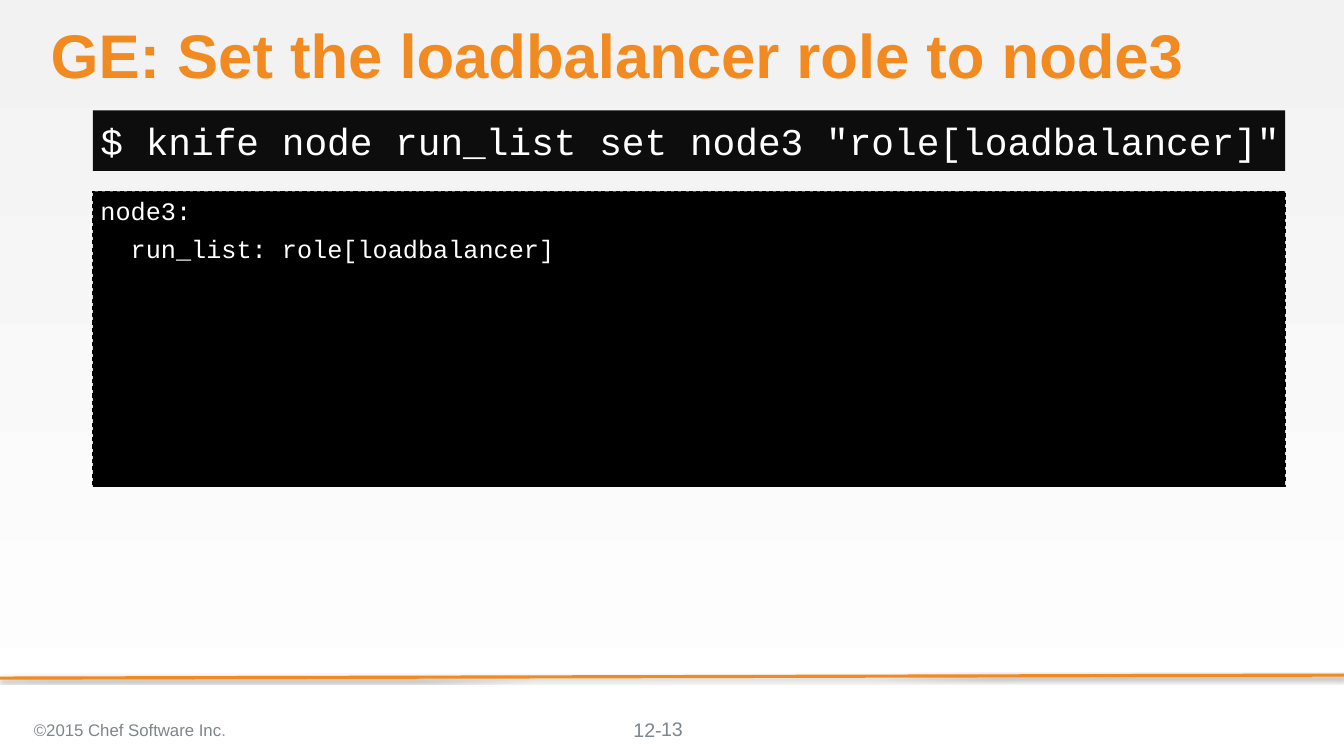
"""Build a slide that shows a shell command and its output."""
from dataclasses import dataclass
from lxml.etree import SubElement
from pptx import Presentation
from pptx.dml.color import RGBColor
from pptx.enum.dml import MSO_LINE
from pptx.enum.shapes import MSO_CONNECTOR, MSO_SHAPE
from pptx.enum.text import MSO_ANCHOR, PP_ALIGN
from pptx.oxml.ns import qn
from pptx.util import Inches, Pt


@dataclass(frozen=True)
class Theme:
    """Colours, fonts and type sizes."""
    orange: str = "F18B21"
    black: str = "000000"
    coal: str = "0D0D0D"
    white: str = "FFFFFF"
    mist: str = "F2F2F2"
    slate: str = "7D868C"
    grey: str = "929494"
    sans: str = "Arial"
    mono: str = "Courier New"
    title: float = 58.7
    shell: float = 36
    output: float = 24
    page: float = 18.7
    small: float = 16


class Deck:
    """Draws on one slide, with lengths as percent of its width and height."""

    def __init__(self, theme):
        """Open a blank slide."""
        self.theme = theme
        self.prs = Presentation()
        self.prs.slide_width, self.prs.slide_height = Inches(17.78), Inches(10)
        self.slide = self.prs.slides.add_slide(self.prs.slide_layouts[6])

    def place(self, *shares):
        """Turn percents, across and down in turn, into lengths."""
        sides = (self.prs.slide_width, self.prs.slide_height) * 2
        return [round(side * share / 100) for side, share in zip(sides, shares)]

    def wash(self, top, bottom):
        """Fill the background from top to bottom."""
        fill = self.slide.background.fill
        fill.gradient()
        fill.gradient_angle = 270
        for stop, tint, point in zip(fill.gradient_stops, (top, bottom), (0, 1)):
            stop.color.rgb = RGBColor.from_string(tint)
            stop.position = point

    def letter(self, shape, lines, font, size, bold=False, align=PP_ALIGN.LEFT,
               anchor=MSO_ANCHOR.TOP, inset=(0.1, 0.05, 0.1, 0.05), pitch=None):
        """Set lines of (words, colour) runs in a shape."""
        frame = shape.text_frame
        frame.word_wrap = True
        frame.vertical_anchor = anchor
        (frame.margin_left, frame.margin_top,
         frame.margin_right, frame.margin_bottom) = map(Inches, inset)
        for rank, line in enumerate(lines):
            para = frame.add_paragraph() if rank else frame.paragraphs[0]
            para.alignment = align
            para.line_spacing = pitch
            if rank:
                para.space_before = Pt(8)
            for words, tint in line:
                run = para.add_run()
                run.text = words
                run.font.name, run.font.size, run.font.bold = font, Pt(size), bold
                run.font.color.rgb = RGBColor.from_string(tint)

    def text(self, area, lines, font, size, **look):
        """Add a text box."""
        self.letter(self.slide.shapes.add_textbox(*self.place(*area)), lines, font, size, **look)

    def panel(self, area, fill, lines, size, edge=None, **look):
        """Add a filled panel of code."""
        box = self.slide.shapes.add_shape(MSO_SHAPE.RECTANGLE, *self.place(*area))
        box.shadow.inherit = False
        box.fill.solid()
        box.fill.fore_color.rgb = RGBColor.from_string(fill)
        if edge:
            box.line.color.rgb = RGBColor.from_string(edge)
            box.line.width = Pt(1)
            box.line.dash_style = MSO_LINE.DASH
        else:
            box.line.fill.background()
        code = [[(line, self.theme.white)] for line in lines]
        self.letter(box, code, self.theme.mono, size, **look)

    def rule(self, ends, tint, width):
        """Add a line with a soft shadow below it."""
        line = self.slide.shapes.add_connector(MSO_CONNECTOR.STRAIGHT, *self.place(*ends))
        line.line.color.rgb = RGBColor.from_string(tint)
        line.line.width = Pt(width)
        effects = SubElement(line._element.spPr, qn("a:effectLst"))
        shade = SubElement(effects, qn("a:outerShdw"), blurRad=str(Pt(3.1)),
                           dist=str(Pt(1.8)), dir="5400000", rotWithShape="0")
        colour = SubElement(shade, qn("a:srgbClr"), val=self.theme.black)
        SubElement(colour, qn("a:alpha"), val="35000")


def main():
    """Build and save the slide."""
    theme = Theme()
    deck = Deck(theme)
    left, wide = 6.92, 88.7
    flat = (0, 0, 0, 0)
    middle = MSO_ANCHOR.MIDDLE

    deck.wash(theme.mist, theme.white)
    deck.rule((100, 89.3, 0, 89.7), theme.orange, 3)
    deck.text((3.77, 3.3, 91.84, 9.1),
              [[("GE: Set the loadbalancer role to node3", theme.orange)]],
              theme.sans, theme.title, bold=True, inset=flat, pitch=0.9)
    deck.panel((left, 14.6, wide, 8), theme.coal,
               ['$ knife node run_list set node3 "role[loadbalancer]"'],
               theme.shell, anchor=middle, inset=(0.1, 0, 0, 0))
    deck.panel((left, 25.3, wide, 39.1), theme.black,
               ["node3:", "  run_list: role[loadbalancer]"],
               theme.output, edge=theme.black)
    deck.text((1.97, 93.8, 34.93, 5.6),
              [[("©2015 Chef Software Inc", theme.slate), (".", theme.grey)]],
              theme.sans, theme.small, anchor=middle)
    deck.text((47.13, 94.9, 4.5, 3.1), [[("12-", theme.slate)]],
              theme.sans, theme.page, inset=flat)
    deck.text((38.75, 93.8, 22.5, 5.3), [[("13", theme.slate)]],
              theme.sans, theme.page, align=PP_ALIGN.CENTER, anchor=middle)
    deck.prs.save("out.pptx")


if __name__ == "__main__":
    main()
